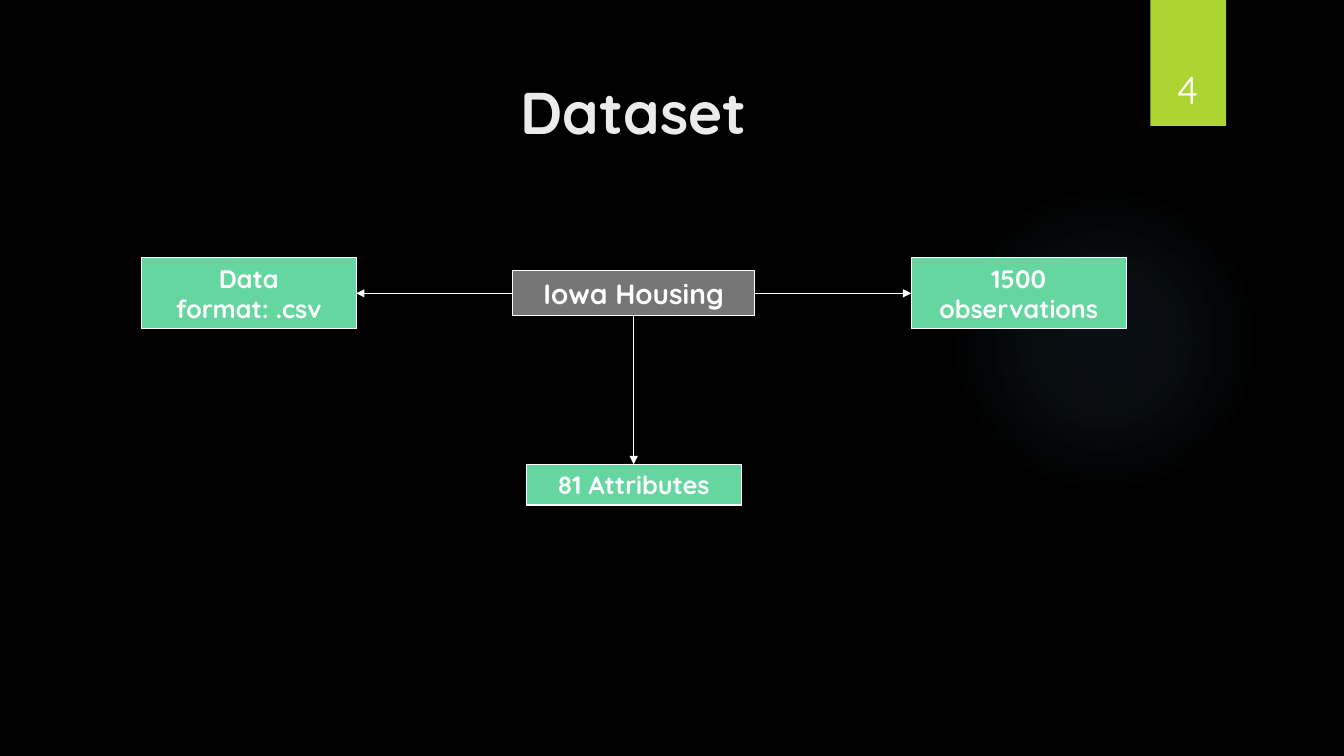
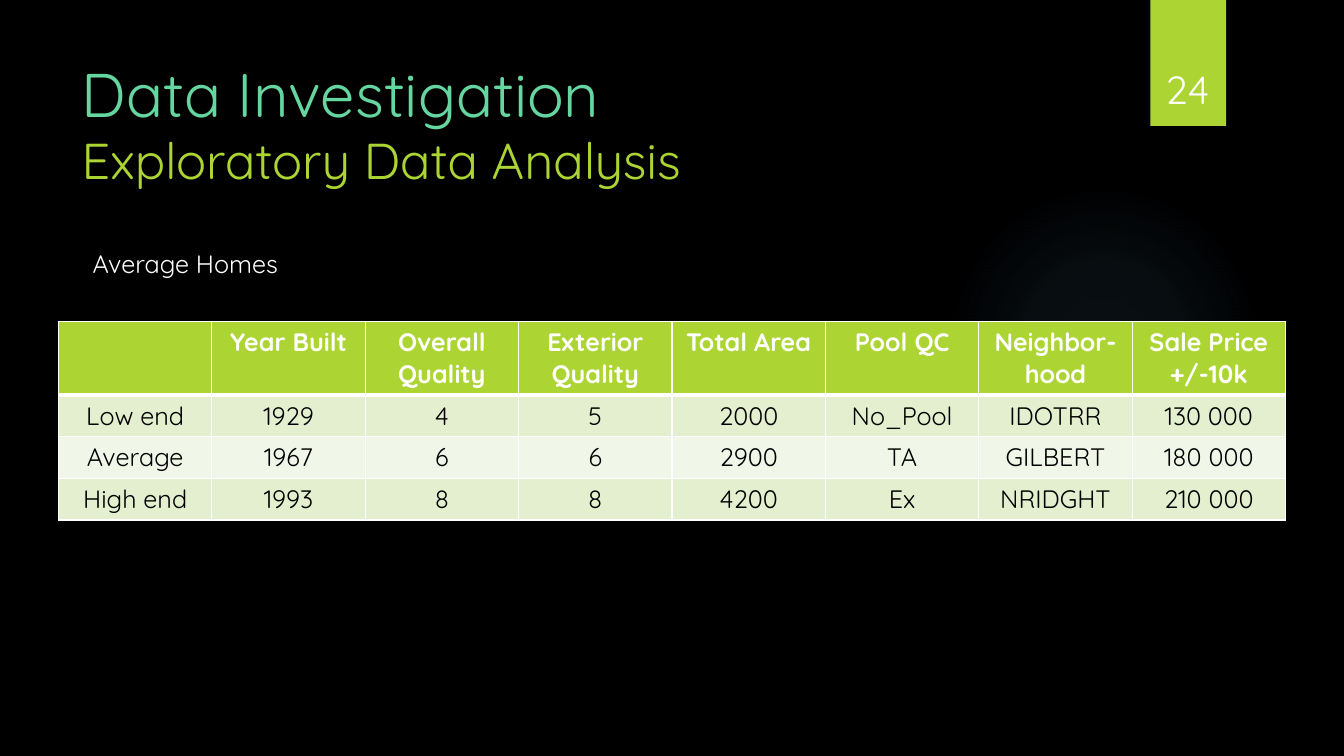
from lxml import etree
from pptx import Presentation, util as u
from pptx.dml.color import RGBColor
from pptx.enum import shapes, text
from pptx.oxml import parse_xml
from pptx.oxml.ns import nsdecls, qn

FONT = "Quicksand"
WHITE, BLACK, PALE = "FFFFFF", "000000", "EBEBEB"
LIME, MINT, GREY, GLOW = "ACD433", "65D6A0", "767676", "7AC4F0"
BANDS = ("E3EFCE", "F1F7E8")
CENTER, LEFT = text.PP_ALIGN.CENTER, text.PP_ALIGN.LEFT
TOP, MIDDLE, BOTTOM = (text.MSO_ANCHOR.TOP, text.MSO_ANCHOR.MIDDLE,
                       text.MSO_ANCHOR.BOTTOM)


def rgb(color):
    return RGBColor.from_string(color)


class Deck:
    """Shared style and the current slide; lengths are percent of the slide."""

    def __init__(self):
        self.prs = Presentation()
        self.prs.slide_width, self.prs.slide_height = u.Inches(13.33), u.Inches(7.5)
        self.paint(self.prs.slide_master.background.fill, BLACK)
        self.s = None

    def x(self, share):
        return u.Emu(round(self.prs.slide_width * share / 100))

    def y(self, share):
        return u.Emu(round(self.prs.slide_height * share / 100))

    def box(self, left, top, width, height):
        return self.x(left), self.y(top), self.x(width), self.y(height)

    def paint(self, fill, color):
        fill.solid()
        fill.fore_color.rgb = rgb(color)

    def add_lines(self, tf, lines, align=CENTER):
        """Add paragraphs; each line is (text, size, colour, bold)."""
        for i, (words, size, color, bold) in enumerate(lines):
            p = tf.add_paragraph() if i else tf.paragraphs[0]
            p.alignment = align
            r = p.add_run()
            r.text = words
            for name, value in dict(name=FONT, size=u.Pt(size), bold=bold).items():
                setattr(r.font, name, value)
            r.font.color.rgb = rgb(color)

    def set_text(self, tf, lines, align=CENTER, anchor=TOP, wrap=True):
        frame = dict(word_wrap=wrap, vertical_anchor=anchor,
                     auto_size=text.MSO_AUTO_SIZE.NONE)
        for name, value in frame.items():
            setattr(tf, name, value)
        self.add_lines(tf, lines, align)

    def slide(self, number, title, place, align):
        """Start a slide with the glow, page band, page number and title."""
        self.s = self.prs.slides.add_slide(self.prs.slide_layouts[5])
        self.glow()
        self.shape((85.6, 0, 5.63, 16.67), LIME)
        self.label((84.9, 4.27, 6.9, 11.2), number, 28, CENTER, BOTTOM)
        sp = self.s.shapes.title
        sp.left, sp.top, sp.width, sp.height = self.box(*place)
        self.set_text(sp.text_frame, title, align)

    def shape(self, place, color, line=None, kind=shapes.MSO_SHAPE.RECTANGLE):
        sp = self.s.shapes.add_shape(kind, *self.box(*place))
        sp.shadow.inherit = False
        if color:
            self.paint(sp.fill, color)
        else:
            sp.fill.background()
        if line:
            sp.line.color.rgb = rgb(line)
            sp.line.width = u.Pt(0.75)
        else:
            sp.line.fill.background()
        return sp

    def glow(self):
        sp = self.shape((70.6, 24.4, 23.1, 41.07), None,
                        kind=shapes.MSO_SHAPE.OVAL)
        stops = "".join(
            f'<a:gs pos="{pos}000"><a:srgbClr val="{GLOW}">'
            f'<a:alpha val="{alpha}000"/></a:srgbClr></a:gs>'
            for pos, alpha in ((0, 7), (36, 6), (69, 0), (100, 0)))
        grad = parse_xml(
            f'<a:gradFill {nsdecls("a")}><a:gsLst>{stops}</a:gsLst>'
            '<a:path path="circle"><a:fillToRect l="50000" t="50000" '
            'r="50000" b="50000"/></a:path></a:gradFill>')
        spPr = sp._element.spPr
        spPr.replace(spPr.find(qn("a:noFill")), grad)

    def node(self, center, size, words, color=MINT, pt=18):
        """A labelled box placed by its centre."""
        (cx, cy), (w, h) = center, size
        sp = self.shape((cx - w / 2, cy - h / 2, w, h), color, WHITE)
        self.set_text(sp.text_frame, [(words, pt, WHITE, True)], anchor=MIDDLE)
        return sp

    def arrow(self, start, start_site, end, end_site):
        c = self.s.shapes.add_connector(shapes.MSO_CONNECTOR.STRAIGHT, 0, 0, 0, 0)
        c.begin_connect(start, start_site)
        c.end_connect(end, end_site)
        c.line.color.rgb = rgb(WHITE)
        c.line.width = u.Pt(0.75)
        spPr = c._element.spPr
        etree.SubElement(spPr.find(qn("a:ln")), qn("a:tailEnd"), type="triangle")
        etree.SubElement(spPr, qn("a:effectLst"))

    def label(self, place, words, pt, align=LEFT, anchor=TOP, wrap=True):
        sp = self.s.shapes.add_textbox(*self.box(*place))
        self.set_text(sp.text_frame, [(words, pt, WHITE, False)], align, anchor, wrap)

    def borders(self, cell, widths):
        tcPr = cell._tc.get_or_add_tcPr()
        for side, width in zip("LRTB", widths):
            tcPr.append(parse_xml(
                f'<a:ln{side} {nsdecls("a")} w="{u.Pt(width)}"><a:solidFill>'
                f'<a:srgbClr val="{WHITE}"/></a:solidFill></a:ln{side}>'))

    def table(self, place, rows, heights):
        table = self.s.shapes.add_table(len(rows), len(rows[0]),
                                        *self.box(*place)).table
        table.horz_banding = False
        for i, (row, height) in enumerate(zip(rows, heights)):
            table.rows[i].height = self.y(height)
            head = i == 0
            fill = LIME if head else BANDS[(i - 1) % 2]
            color = WHITE if head else BLACK
            for j, words in enumerate(row):
                cell = table.cell(i, j)
                self.borders(cell, (1, 1, 3 if i == 1 else 1, 3 if head else 1))
                self.paint(cell.fill, fill)
                if words:
                    self.add_lines(cell.text_frame, [(line, 18, color, head)
                                                     for line in words.split("\n")])


def dataset(d):
    d.slide("4", [("Dataset", 42, PALE, True)], (37.9, 9.33, 18.5, 9.47), CENTER)
    mid, row, step = 47.15, 38.8, 28.65
    hub = d.node((mid, row), (18, 5.9), "Iowa Housing", GREY, 20)
    left = d.node((mid - step, row), (16, 9.4), "Data format: .csv")
    below = d.node((mid, 64.1), (16, 5.4), "81 Attributes")
    right = d.node((mid + step, row), (16, 9.4), "1500 observations")
    # Connection sites run top, left, bottom, right
    for site, target, target_site in ((3, right, 1), (1, left, 3), (2, below, 0)):
        d.arrow(hub, site, target, target_site)


def average_homes(d):
    title = [("Data Investigation", 44, MINT, False),
             ("Exploratory Data Analysis", 36, LIME, False)]
    d.slide("24", title, (5.33, 6.67, 77.2, 20.4), LEFT)
    d.label((6.15, 32.13, 16.35, 5.33), "Average Homes", 18, wrap=False)
    rows = [
        ("", "Year Built", "Overall Quality", "Exterior Quality", "Total Area",
         "Pool QC", "Neighbor-hood", "Sale Price\n+/-10k"),
        ("Low end", "1929", "4", "5", "2000", "No_Pool", "IDOTRR", "130 000"),
        ("Average", "1967", "6", "6", "2900", "TA", "GILBERT", "180 000"),
        ("High end", "1993", "8", "8", "4200", "Ex", "NRIDGHT", "210 000"),
    ]
    d.table((4.35, 42.53, 91.3, 25.6), rows, (9.4, 5.4, 5.4, 5.4))


def main():
    d = Deck()
    dataset(d)
    average_homes(d)
    d.prs.save("out.pptx")


if __name__ == "__main__":
    main()
